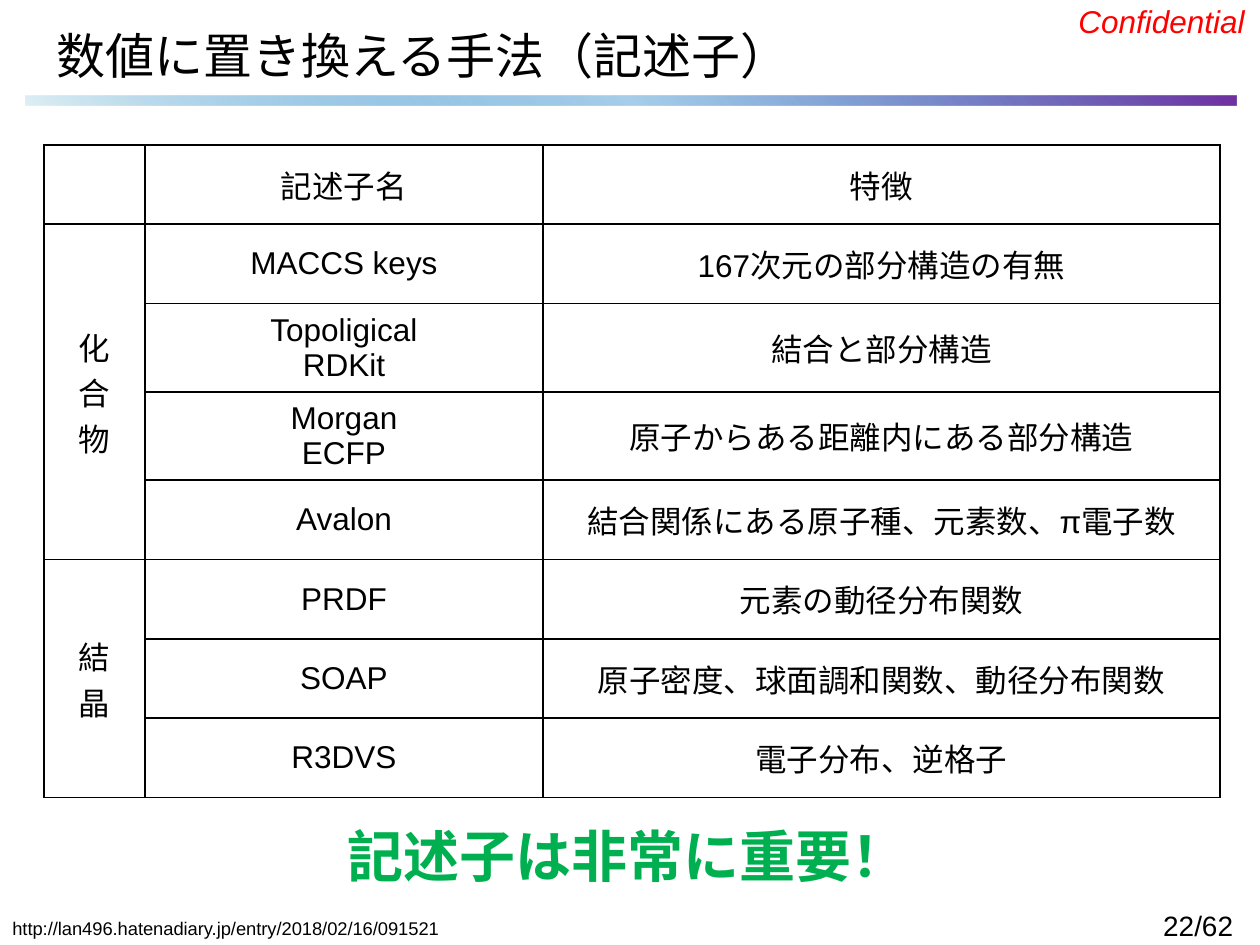
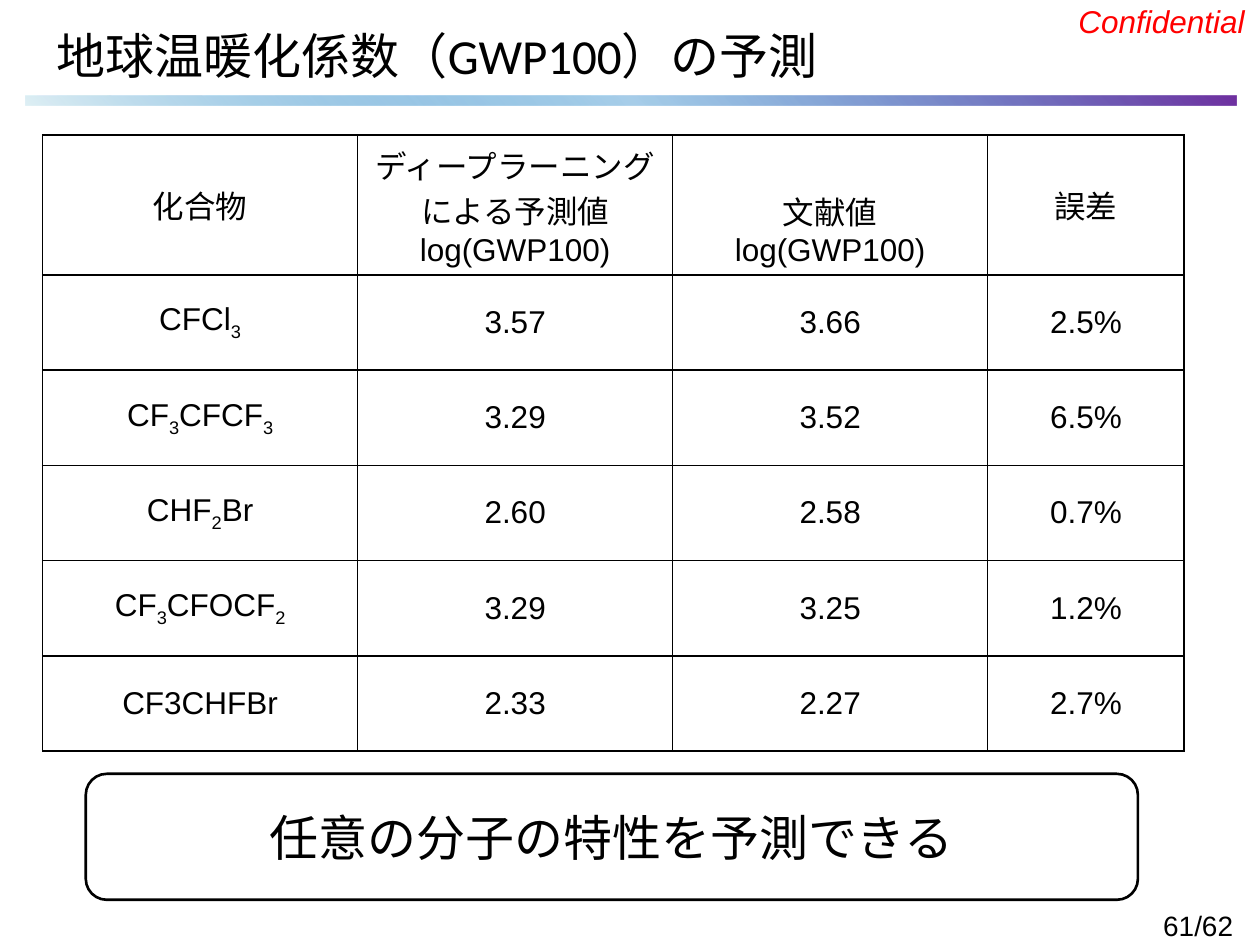
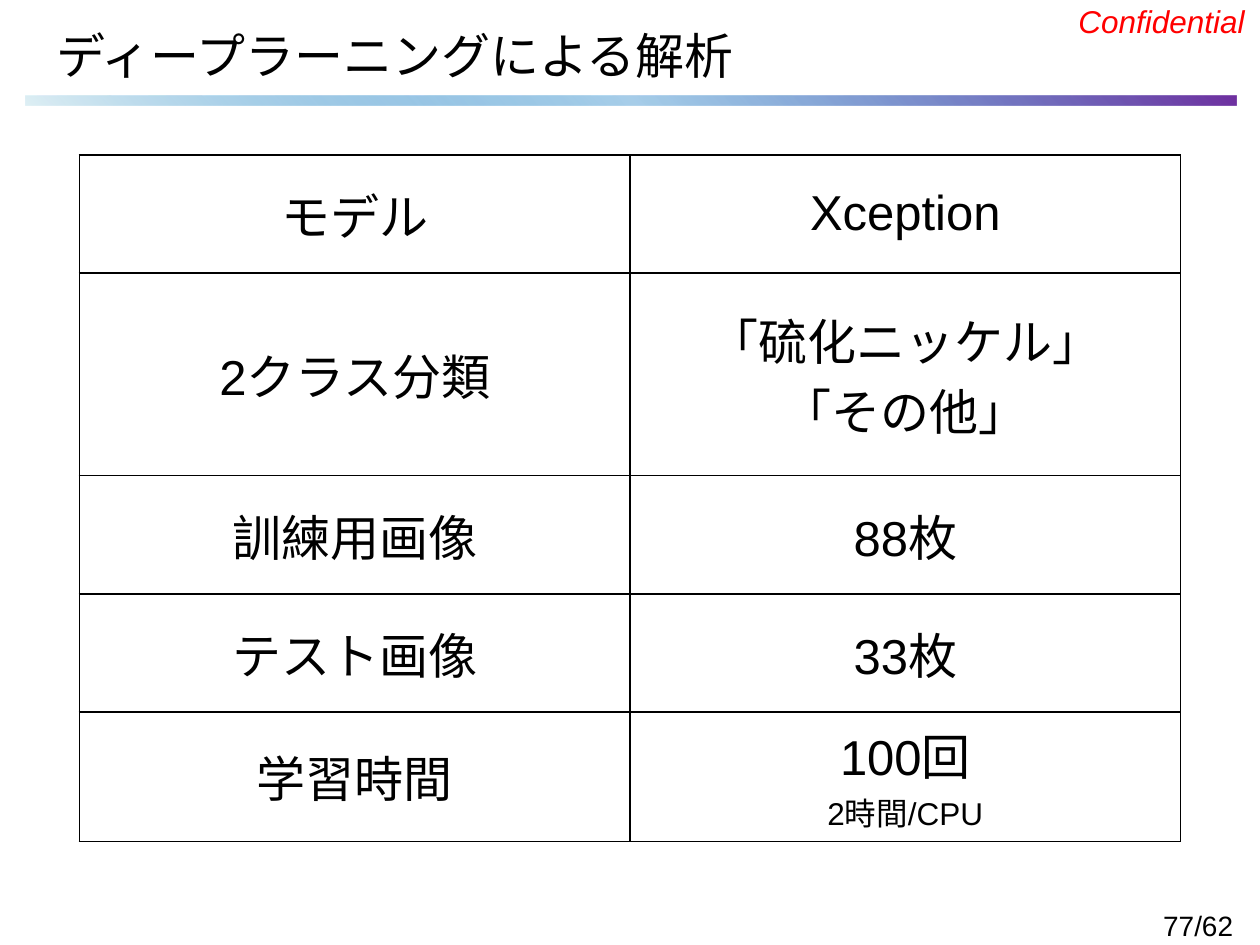
from pptx import Presentation
from pptx.dml.color import RGBColor
from pptx.enum import shapes, text
from pptx.oxml import ns, parse_xml
from pptx.util import Cm, Pt

rgb = RGBColor.from_string
BLACK, RED, GREEN = "000000", "FF0000", "00B050"
LEFT, CENTER = text.PP_ALIGN.LEFT, text.PP_ALIGN.CENTER
MIDDLE = text.MSO_ANCHOR.MIDDLE
BAND_FILL = f"""<a:gradFill {ns.nsdecls('a')} rotWithShape="1"><a:gsLst>
<a:gs pos="0"><a:srgbClr val="DFF0F5"/></a:gs>
<a:gs pos="50000"><a:srgbClr val="0070C0"><a:alpha val="34000"/></a:srgbClr></a:gs>
<a:gs pos="100000"><a:srgbClr val="7030A0"/></a:gs>
</a:gsLst><a:lin ang="18900000" scaled="0"/></a:gradFill>"""


def write(frame, content, size, color=BLACK, font="Arial", align=LEFT, wrap=True):
    frame.word_wrap = wrap
    for number, line in enumerate(content.split("\n")):
        paragraph = frame.add_paragraph() if number else frame.paragraphs[0]
        paragraph.alignment = align
        first, *rest = line.split("_")
        paragraph.add_run().text = first
        for part in rest:
            subscript = paragraph.add_run()
            subscript.text = part[0]
            subscript._r.get_or_add_rPr().set("baseline", "-25000")
            if part[1:]:
                paragraph.add_run().text = part[1:]
        paragraph.font.name = font
        paragraph.font.size = Pt(size)
        paragraph.font.color.rgb = rgb(color)
    return frame


def add_grid(slide, left, top, widths, heights, rows, size):
    grid = slide.shapes.add_table(len(heights), len(widths), Cm(left), Cm(top),
                                  Cm(sum(widths)), Cm(sum(heights))).table
    grid.first_row = grid.horz_banding = False
    for column, width in zip(grid.columns, widths):
        column.width = Cm(width)
    for row, height, contents in zip(grid.rows, heights, rows):
        row.height = Cm(height)
        for cell, content in zip(row.cells, contents):
            cell.vertical_anchor = MIDDLE
            if content:
                write(cell.text_frame, content, size, align=CENTER)
            for side in "LRTB":
                cell._tc.get_or_add_tcPr().append(parse_xml(
                    f'<a:ln{side} {ns.nsdecls("a")} w="12700"><a:solidFill>'
                    f'<a:srgbClr val="{BLACK}"/></a:solidFill></a:ln{side}>'))
            cell.fill.background()
    return grid


prs = Presentation()
prs.slide_width, prs.slide_height = Cm(25.4), Cm(19.05)

slides = []
for title, page in [("数値に置き換える手法（記述子）", "22/62"),
                    ("地球温暖化係数（GWP100）の予測", "61/62"),
                    ("ディープラーニングによる解析", "77/62")]:
    slide = prs.slides.add_slide(prs.slide_layouts[6])
    slides.append(slide)
    band = slide.shapes.add_shape(shapes.MSO_SHAPE.RECTANGLE, Cm(0.51), Cm(1.93), Cm(24.41), Cm(0.2))
    band.shadow.inherit = False
    band.line.fill.background()
    band._element.spPr.insert(2, parse_xml(BAND_FILL))
    page_number = slide.shapes.add_textbox(Cm(23.2), Cm(18.19), Cm(2.01), Cm(0.94))
    write(page_number.text_frame, page, 16, wrap=False)
    confidential = slide.shapes.add_textbox(Cm(21.49), Cm(-0.08), Cm(3.89), Cm(1.02))
    write(confidential.text_frame, "Confidential", 18, RED, wrap=False).paragraphs[0].font.italic = True
    heading = slide.shapes.add_textbox(Cm(0.89), Cm(0.33), Cm(23.67), Cm(1.55))
    write(heading.text_frame, title, 28, font="Calibri").vertical_anchor = MIDDLE

descriptors, warming, analysis = slides

descriptor_grid = add_grid(
    descriptors, 0.89, 2.92, [2.03, 8.03, 13.64], [1.6, 1.6, 1.68, 1.68, 1.6, 1.6, 1.6, 1.6],
    [("", "記述子名", "特徴"),
     ("化\n合\n物", "MACCS keys", "167次元の部分構造の有無"),
     ("", "Topoligical\nRDKit", "結合と部分構造"),
     ("", "Morgan\nECFP", "原子からある距離内にある部分構造"),
     ("", "Avalon", "結合関係にある原子種、元素数、π電子数"),
     ("結\n晶", "PRDF", "元素の動径分布関数"),
     ("", "SOAP", "原子密度、球面調和関数、動径分布関数"),
     ("", "R3DVS", "電子分布、逆格子")], 18)
for first, last in [(1, 4), (5, 7)]:
    descriptor_grid.cell(first, 0).merge(descriptor_grid.cell(last, 0))
importance = descriptors.shapes.add_textbox(Cm(6.76), Cm(16.43), Cm(11.91), Cm(1.63))
write(importance.text_frame, "記述子は非常に重要！", 32, GREEN, wrap=False).paragraphs[0].font.bold = True
reference = descriptors.shapes.add_textbox(Cm(0), Cm(18.36), Cm(22), Cm(0.74))
write(reference.text_frame, "http://lan496.hatenadiary.jp/entry/2018/02/16/091521", 10.5)

warming_grid = add_grid(
    warming, 0.86, 2.72, [6.35, 6.35, 6.35, 3.96], [2.82] + [1.92] * 5,
    [("化合物", "ディープラーニングによる予測値\nlog(GWP100)", "文献値\nlog(GWP100)", "誤差"),
     ("CFCl_3", "3.57", "3.66", "2.5%"),
     ("CF_3CFCF_3", "3.29", "3.52", "6.5%"),
     ("CHF_2Br", "2.60", "2.58", "0.7%"),
     ("CF_3CFOCF_2", "3.29", "3.25", "1.2%"),
     ("CF3CHFBr", "2.33", "2.27", "2.7%")], 18)
warming_grid.cell(0, 2).vertical_anchor = text.MSO_ANCHOR.BOTTOM
conclusion = warming.shapes.add_shape(shapes.MSO_SHAPE.ROUNDED_RECTANGLE,
                                      Cm(1.73), Cm(15.6), Cm(21.21), Cm(2.54))
conclusion.shadow.inherit = False
conclusion.fill.background()
conclusion.line.color.rgb = rgb(BLACK)
conclusion.line.width = Pt(1.5)
write(conclusion.text_frame, "任意の分子の特性を予測できる", 28,
      font="Noto Sans CJK JP", align=CENTER).vertical_anchor = MIDDLE

analysis_grid = add_grid(
    analysis, 1.6, 3.12, [11.1, 11.1], [2.38, 4.09, 2.38, 2.38, 2.61],
    [("モデル", "Xception"),
     ("2クラス分類", "「硫化ニッケル」\n「その他」"),
     ("訓練用画像", "88枚"),
     ("テスト画像", "33枚"),
     ("学習時間", "100回\n2時間/CPU")], 28)
analysis_grid.cell(4, 1).text_frame.paragraphs[1].font.size = Pt(18)

prs.save("out.pptx")
